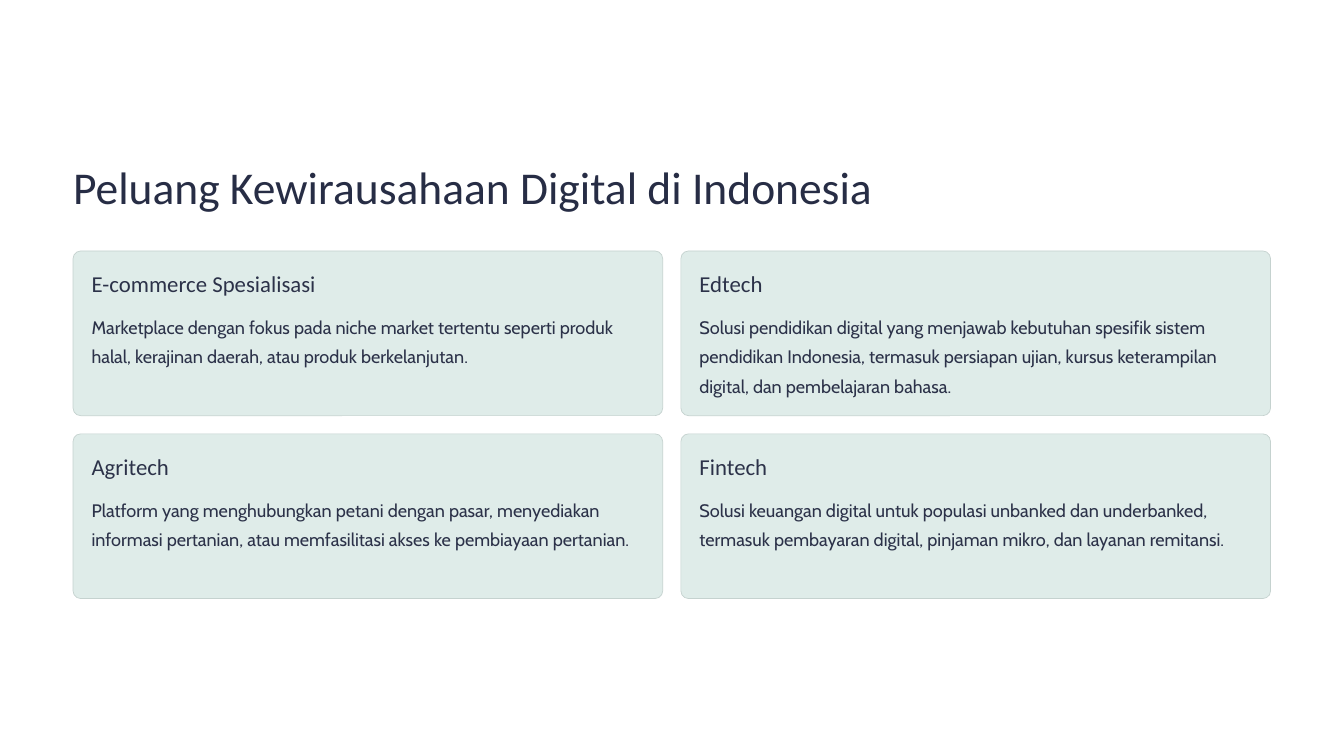
"""Builds a slide with four cards on digital business opportunities in Indonesia."""
from dataclasses import dataclass

from pptx import Presentation
from pptx.dml.color import RGBColor
from pptx.enum.shapes import MSO_SHAPE
from pptx.enum.text import MSO_ANCHOR, MSO_AUTO_SIZE, PP_ALIGN
from pptx.util import Cm, Pt

TITLE = "Peluang Kewirausahaan Digital di Indonesia"
CARDS = [
    ("E-commerce Spesialisasi",
     "Marketplace dengan fokus pada niche market tertentu seperti produk halal, "
     "kerajinan daerah, atau produk berkelanjutan."),
    ("Edtech",
     "Solusi pendidikan digital yang menjawab kebutuhan spesifik sistem pendidikan "
     "Indonesia, termasuk persiapan ujian, kursus keterampilan digital, dan "
     "pembelajaran bahasa."),
    ("Agritech",
     "Platform yang menghubungkan petani dengan pasar, menyediakan informasi "
     "pertanian, atau memfasilitasi akses ke pembiayaan pertanian."),
    ("Fintech",
     "Solusi keuangan digital untuk populasi unbanked dan underbanked, termasuk "
     "pembayaran digital, pinjaman mikro, dan layanan remitansi."),
]


@dataclass(frozen=True)
class Theme:
    """Colours, fonts and type sizes with their line heights."""
    paper: str = "FFFFFF"
    title: str = "272D45"
    text: str = "2C3249"
    card: str = "DFECE9"
    border: str = "C5D2CF"
    head_font: str = "Calibri"
    body_font: str = "Cabin"
    title_size: tuple = (39, 48.5)
    head_size: tuple = (19.5, 24)
    body_size: tuple = (15.5, 25)


T = Theme()
COLS = 2
LEFT, TOP = 2.21, 7.59
CARD_W, CARD_H, GAP = 17.83, 4.98, 0.55
PAD, BODY_DY = 0.56, 1.76
TEXT_W = CARD_W - 2 * PAD


def write(shape, text, *, size, font=T.head_font, color=T.text, wrap=False):
    """Puts one formatted paragraph into a shape without margins."""
    tf = shape.text_frame
    tf.margin_left = tf.margin_top = tf.margin_right = tf.margin_bottom = 0
    tf.auto_size = MSO_AUTO_SIZE.NONE
    tf.vertical_anchor = MSO_ANCHOR.TOP
    tf.word_wrap = wrap
    p = tf.paragraphs[0]
    p.alignment = PP_ALIGN.LEFT
    p.space_before = Pt(0)
    p.line_spacing = Pt(size[1])
    r = p.add_run()
    r.text = text
    r.font.name = font
    r.font.size = Pt(size[0])
    r.font.color.rgb = RGBColor.from_string(color)


def add_card(s, x, y, head, body):
    """Draws a rounded card with its heading and description."""
    sp = s.shapes.add_shape(MSO_SHAPE.ROUNDED_RECTANGLE,
                            Cm(x), Cm(y), Cm(CARD_W), Cm(CARD_H))
    sp.adjustments[0] = 0.046
    sp.shadow.inherit = False
    sp.fill.solid()
    sp.fill.fore_color.rgb = RGBColor.from_string(T.card)
    sp.line.color.rgb = RGBColor.from_string(T.border)
    sp.line.width = Pt(0.6)
    x, y = x + PAD, y + PAD
    write(s.shapes.add_textbox(Cm(x), Cm(y), Cm(TEXT_W), Cm(0.86)),
          head, size=T.head_size)
    y = y - PAD + BODY_DY
    write(s.shapes.add_textbox(Cm(x), Cm(y), Cm(TEXT_W), Cm(2.64)),
          body, size=T.body_size, font=T.body_font, wrap=True)


def main():
    """Builds and saves the slide."""
    prs = Presentation()
    prs.slide_width, prs.slide_height = Cm(40.64), Cm(22.86)
    s = prs.slides.add_slide(prs.slide_layouts[5])
    s.background.fill.solid()
    s.background.fill.fore_color.rgb = RGBColor.from_string(T.paper)

    title = s.shapes.title
    title.left, title.top = Cm(LEFT), Cm(4.75)
    title.width, title.height = Cm(26.21), Cm(1.73)
    write(title, TITLE, size=T.title_size, color=T.title)

    for i, (head, body) in enumerate(CARDS):
        row, col = divmod(i, COLS)
        add_card(s, LEFT + col * (CARD_W + GAP), TOP + row * (CARD_H + GAP), head, body)
    prs.save("out.pptx")


if __name__ == "__main__":
    main()
